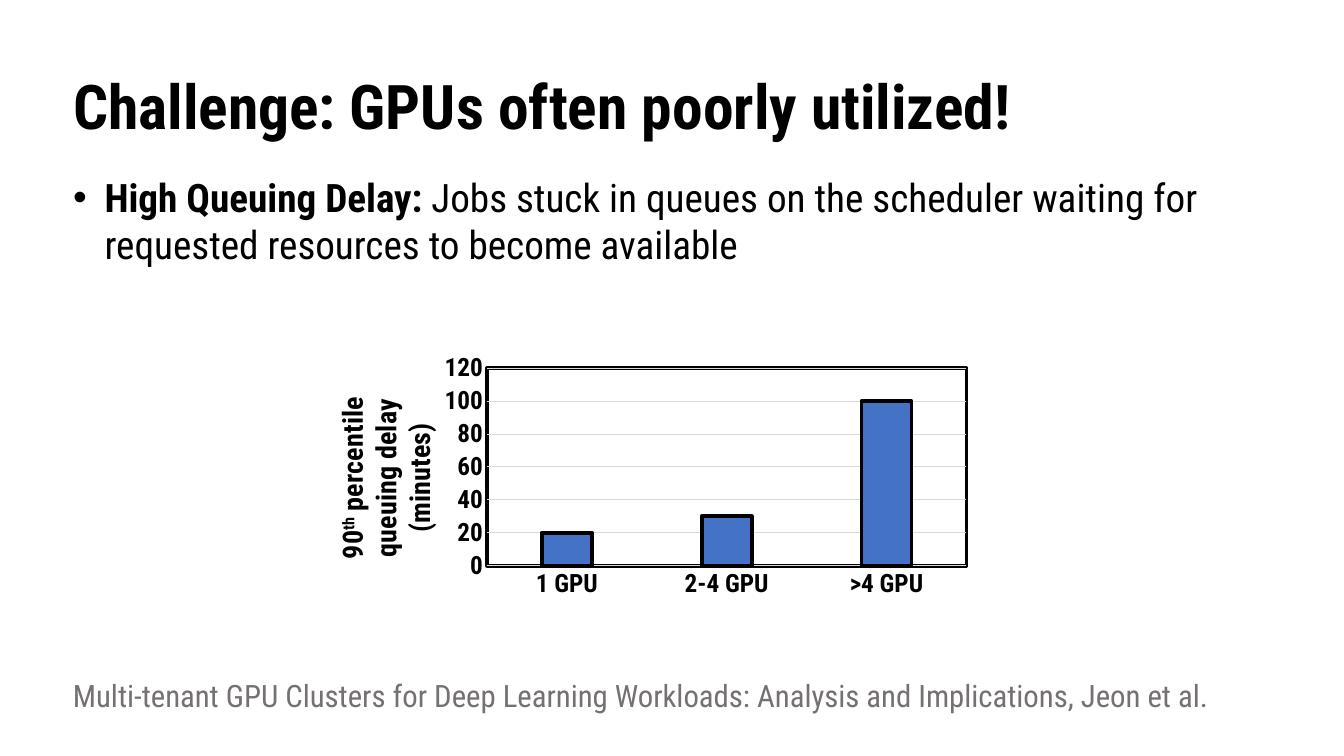
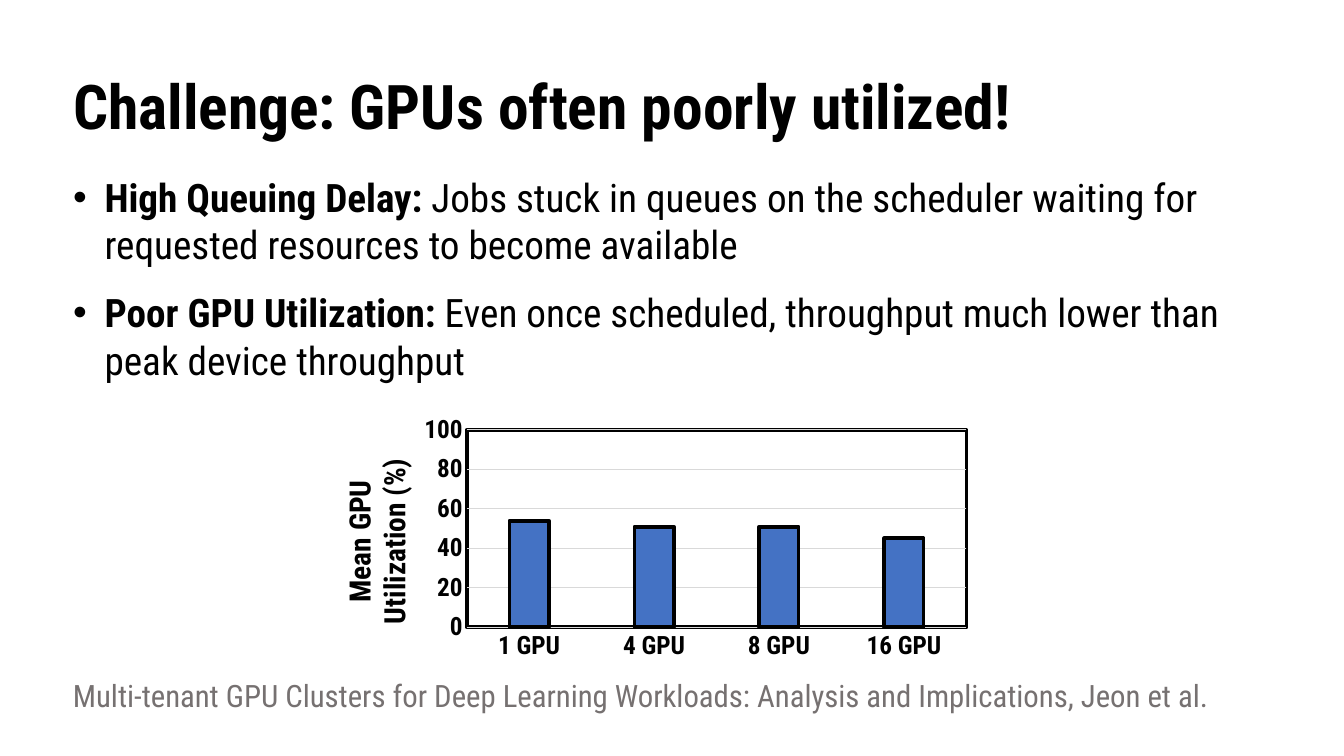
import pptx
import pptx.util
import pptx.dml.color
import pptx.enum.text
import pptx.enum.chart
import pptx.chart.data
import pptx.oxml
import pptx.oxml.ns

Pt = pptx.util.Pt
Enum = pptx.enum.chart
INK = {"text": "000000", "note": "767171", "bar": "4472C4", "grid": "D9D9D9"}
FACE = "Roboto Condensed"
LEFT, WIDE = 45, 864
TITLE = "Challenge: GPUs often poorly utilized!"
CITE = "Multi-tenant GPU Clusters for Deep Learning Workloads: Analysis and Implications, Jeon et al."
QUEUE = ("High Queuing Delay:", " Jobs stuck in queues on the scheduler waiting for requested resources to become available")
USAGE = ("Poor GPU Utilization: ", "Even once scheduled, throughput much lower than peak device throughput")
SLIDES = [
    {
        "points": [QUEUE], "tall": 92, "top": 248.5, "max": 120,
        "cats": ["1 GPU", "2-4 GPU", ">4 GPU"], "vals": [20, 30, 100],
        "label": [[("90", 0), ("th", 30000), (" percentile", 0)],
                  [("queuing delay", 0)], [("(minutes)", 0)]],
        "size": 20, "spot": {"x": 0.04, "y": 0.18},
        "plot": {"x": 0.27, "y": 0.08, "w": 0.71, "h": 0.77},
    },
    {
        "points": [QUEUE, USAGE], "tall": 208, "top": 292.5, "max": 100,
        "cats": ["1 GPU", "4 GPU", "8 GPU", "16 GPU"], "vals": [54, 51, 51, 45],
        "label": [[("Mean GPU", 0)], [("Utilization (%)", 0)]],
        "size": 21, "spot": {"x": 0.05, "y": 0.18},
        "plot": {"x": 0.24, "y": 0.08, "w": 0.74, "h": 0.77},
    },
]


def dress(item, **format):
    for name, value in format.items():
        setattr(item, name, value)


def tint(name):
    return pptx.dml.color.RGBColor.from_string(INK[name])


def style(font, size, bold=False, ink="text", face=FACE):
    dress(font, size=Pt(size), bold=bold, name=face)
    font.color.rgb = tint(ink)


def write(para, text, size, bold=False, ink="text"):
    run = para.add_run()
    run.text = text
    style(run.font, size, bold, ink)
    return run


def move(shape, left, top, width, height):
    dress(shape, left=Pt(left), top=Pt(top), width=Pt(width), height=Pt(height))


def stroke(line, ink, width):
    line.color.rgb = tint(ink)
    line.width = Pt(width)


def frame(shape, **format):
    text = shape.text_frame
    dress(text, word_wrap=True, auto_size=pptx.enum.text.MSO_AUTO_SIZE.NONE, **format)
    return text


def head(slide):
    shape = slide.shapes.title
    move(shape, LEFT, 26, 828, 104)
    para = frame(shape, vertical_anchor=pptx.enum.text.MSO_ANCHOR.MIDDLE).paragraphs[0]
    dress(para, line_spacing=0.9, alignment=pptx.enum.text.PP_ALIGN.LEFT)
    write(para, TITLE, 44, True)


def points(slide, items, height):
    shape = slide.placeholders[1]
    move(shape, LEFT, 103, WIDE, height)
    text = frame(shape, margin_top=Pt(21))
    for index, (lead, rest) in enumerate(items):
        para = text.add_paragraph() if index else text.paragraphs[0]
        dress(para, space_before=Pt(15 if index else 0), space_after=Pt(0))
        props = para._p.get_or_add_pPr()
        props.set("marL", str(Pt(22.5)))
        props.set("indent", str(-Pt(22.5)))
        write(para, lead, 28, True)
        write(para, rest, 28)


def cite(slide):
    shape = slide.shapes.add_textbox(Pt(LEFT), Pt(480), Pt(WIDE), Pt(48))
    write(frame(shape).paragraphs[0], CITE, 22, ink="note")


def place(node, index, spot, inner=False):
    for old in node.xpath("c:layout"):
        node.remove(old)
    parts = '<c:layoutTarget val="inner"/>' if inner else ""
    parts += "".join(f'<c:{key}Mode val="edge"/>' for key in "xy")
    parts += "".join(f'<c:{key} val="{value}"/>' for key, value in spot.items())
    space = pptx.oxml.ns.nsdecls("c")
    node.insert(index, pptx.oxml.parse_xml(
        f"<c:layout {space}><c:manualLayout>{parts}</c:manualLayout></c:layout>"))


def label(axis, root, lines, size, spot):
    text = axis.axis_title.text_frame
    for index, line in enumerate(lines):
        para = text.add_paragraph() if index else text.paragraphs[0]
        style(para.font, size, True)
        for words, lift in line:
            run = write(para, words, size, True)
            if lift:
                run._r.get_or_add_rPr().set("baseline", str(lift))
    title = root.xpath(".//c:valAx/c:title")[0]
    body = title.xpath(".//a:bodyPr")[0]
    body.set("rot", "-5400000")
    body.set("vert", "horz")
    place(title, 1, spot)


def border(plot):
    space = pptx.oxml.ns.nsdecls("c", "a")
    plot.append(pptx.oxml.parse_xml(
        f'<c:spPr {space}><a:noFill/><a:ln w="{Pt(2.75)}"><a:solidFill>'
        f'<a:srgbClr val="{INK["text"]}"/></a:solidFill></a:ln></c:spPr>'))


def bars(slide, page):
    data = pptx.chart.data.CategoryChartData()
    data.categories = page["cats"]
    data.add_series("Series 1", page["vals"])
    chart = slide.shapes.add_chart(
        Enum.XL_CHART_TYPE.COLUMN_CLUSTERED,
        Pt(217.5), Pt(page["top"]), Pt(482.5), Pt(183), data).chart
    dress(chart, has_title=False, has_legend=False)
    style(chart.font, 10, face="Calibri")
    dress(chart.plots[0], gap_width=219, overlap=-27, vary_by_categories=False)
    series = chart.series[0]
    series.format.fill.solid()
    series.format.fill.fore_color.rgb = tint("bar")
    stroke(series.format.line, "text", 2.75)
    cat, val = chart.category_axis, chart.value_axis
    for axis in (cat, val):
        dress(axis, major_tick_mark=Enum.XL_TICK_MARK.NONE,
              minor_tick_mark=Enum.XL_TICK_MARK.NONE)
        style(axis.tick_labels.font, 18, True)
    stroke(cat.format.line, "grid", 0.75)
    dress(val, minimum_scale=0, maximum_scale=page["max"], major_unit=20,
          has_major_gridlines=True)
    val.format.line.fill.background()
    stroke(val.major_gridlines.format.line, "grid", 0.75)
    root = chart._chartSpace
    label(val, root, page["label"], page["size"], page["spot"])
    plot = root.xpath(".//c:plotArea")[0]
    place(plot, 0, page["plot"], True)
    border(plot)


def main():
    deck = pptx.Presentation()
    dress(deck, slide_width=Pt(960), slide_height=Pt(540))
    for page in SLIDES:
        slide = deck.slides.add_slide(deck.slide_layouts[1])
        head(slide)
        points(slide, page["points"], page["tall"])
        cite(slide)
        bars(slide, page)
    deck.save("out.pptx")


main()
